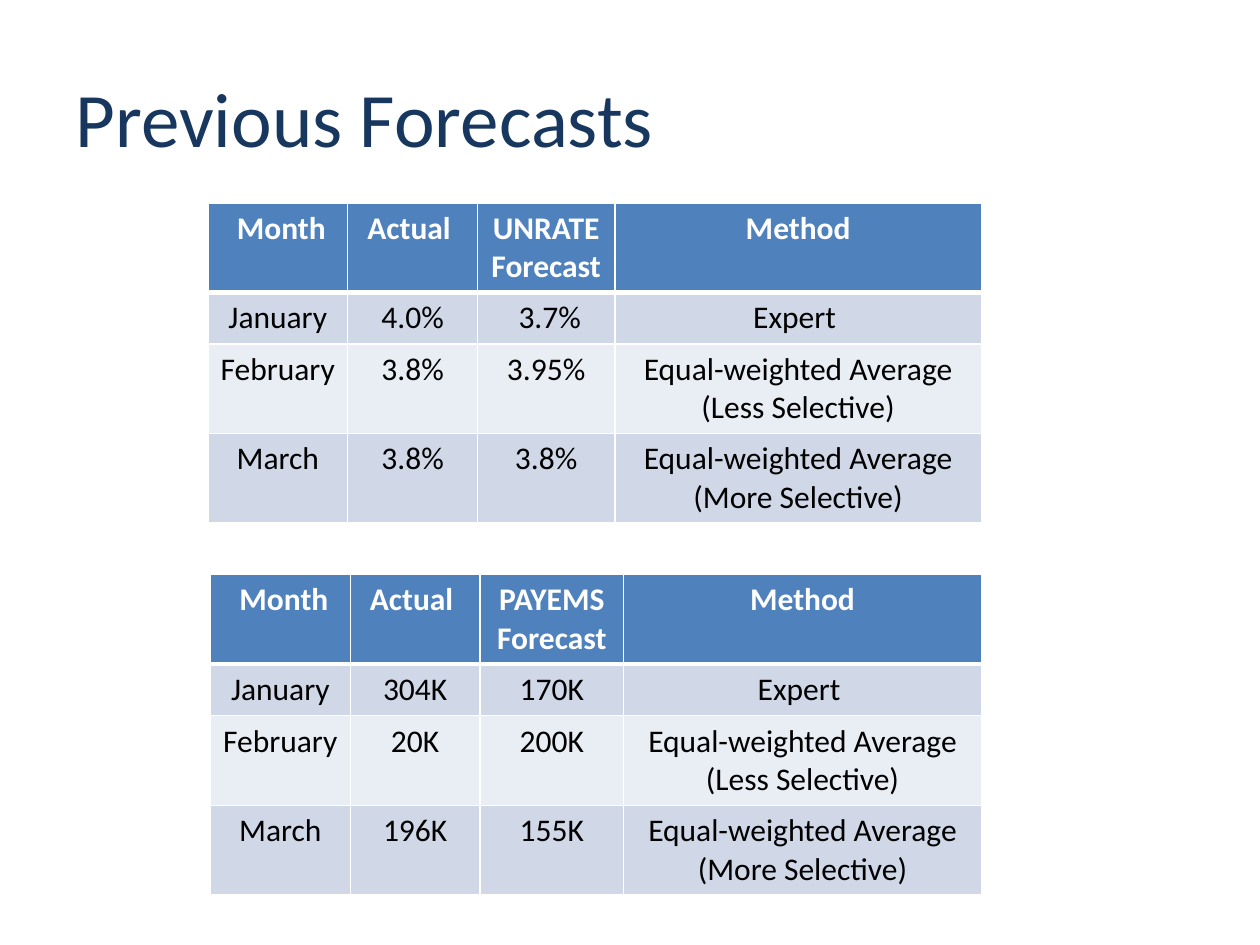
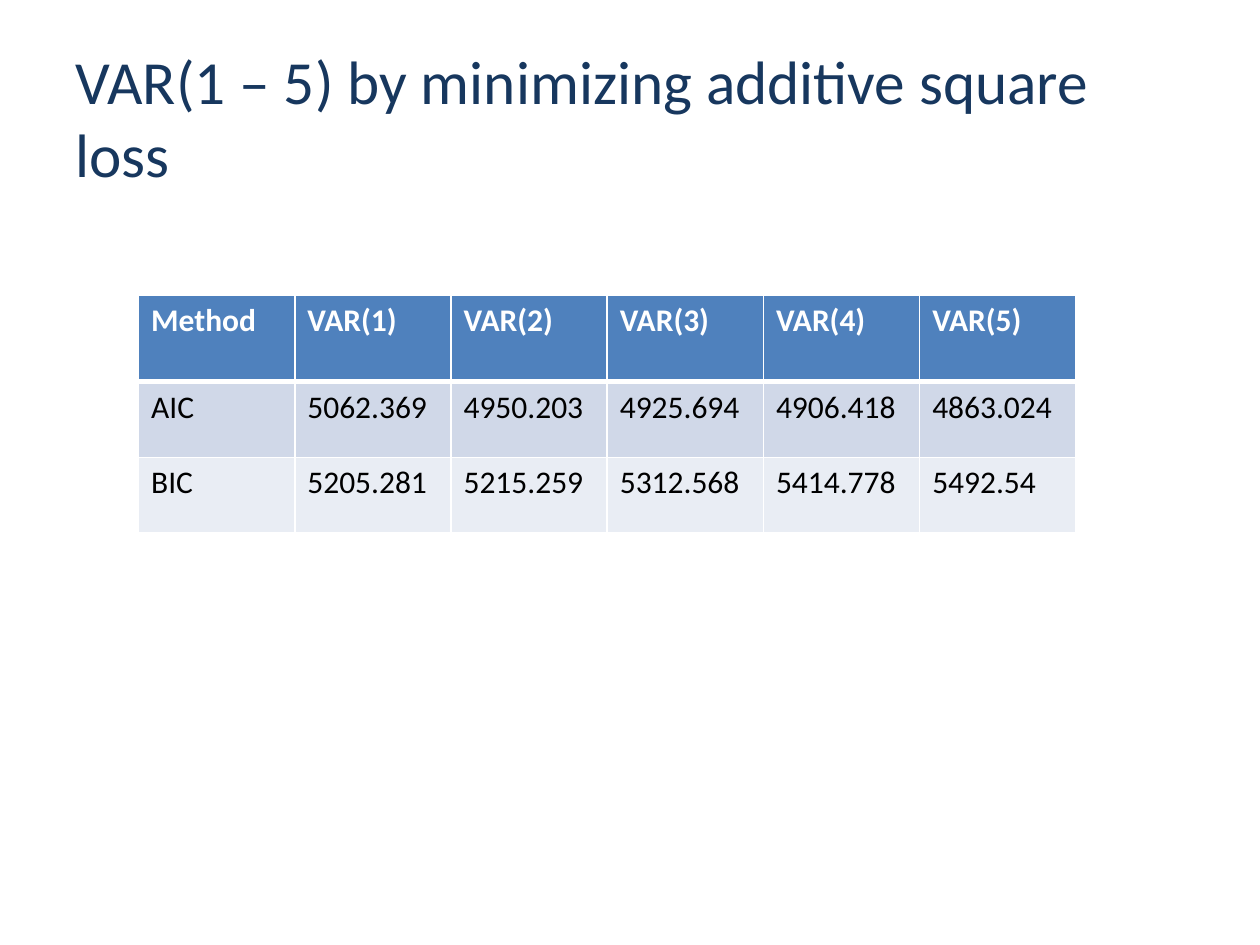
"""Build two slides that compare forecasts and model scores in tables."""
from dataclasses import dataclass

from lxml.etree import SubElement as Sub
from pptx import Presentation
from pptx.dml.color import RGBColor as Rgb
from pptx.enum.text import MSO_ANCHOR as Anchor, PP_ALIGN as Align
from pptx.oxml.ns import qn
from pptx.util import Inches, Pt

FONT = "Calibri"
NAVY, BLUE, WHITE, BLACK = "17375E", "4F81BD", "FFFFFF", "000000"
BANDS = ("D0D8E8", "E9EDF4")
LESS = "Equal-weighted Average (Less Selective)"
MORE = "Equal-weighted Average (More Selective)"
SPLIT = "Equal-weighted Average\n(More Selective)"


@dataclass
class Grid:
    left: float
    top: float
    cols: list[float]
    rows: list[float]
    cells: list[list[str]]
    align: Align


@dataclass
class Page:
    title: str
    size: int
    grids: list[Grid]


def color(code: str) -> Rgb:
    return Rgb.from_string(code)


def write(para, text: str, size: int, tint: str, align: Align,
          bold: bool = False) -> None:
    para.alignment = align
    run = para.add_run()
    run.text = text
    font = run.font
    font.name, font.size, font.bold = FONT, Pt(size), bold
    font.color.rgb = color(tint)


def edge(cell, side: str, width: int) -> None:
    line = Sub(cell._tc.get_or_add_tcPr(), qn(f"a:ln{side}"), w=str(Pt(width)))
    Sub(Sub(line, qn("a:solidFill")), qn("a:srgbClr"), val=WHITE)


def fill_cell(cell, text: str, row: int, align: Align) -> None:
    head = row == 0
    for side in "LRTB":
        thick = (side, row) in (("B", 0), ("T", 1))
        edge(cell, side, 3 if thick else 1)
    cell.fill.solid()
    cell.fill.fore_color.rgb = color(BLUE if head else BANDS[(row - 1) % 2])
    frame = cell.text_frame
    for num, line in enumerate(text.split("\n")):
        para = frame.add_paragraph() if num else frame.paragraphs[0]
        write(para, line, 18, WHITE if head else BLACK, align, head)


def add_grid(slide, grid: Grid) -> None:
    table = slide.shapes.add_table(
        len(grid.rows), len(grid.cols), Inches(grid.left), Inches(grid.top),
        Inches(sum(grid.cols)), Inches(sum(grid.rows))).table
    for col, width in zip(table.columns, grid.cols):
        col.width = Inches(width)
    for row, height in zip(table.rows, grid.rows):
        row.height = Inches(height)
    for row, texts in enumerate(grid.cells):
        for col, text in enumerate(texts):
            fill_cell(table.cell(row, col), text, row, grid.align)


def add_page(deck, page: Page) -> None:
    slide = deck.slides.add_slide(deck.slide_layouts[5])
    title = slide.shapes.title
    title.left, title.top = Inches(0.5), Inches(0.3)
    title.width, title.height = Inches(9), Inches(1.25)
    frame = title.text_frame
    frame.word_wrap = True
    frame.vertical_anchor = Anchor.MIDDLE
    write(frame.paragraphs[0], page.title, page.size, NAVY, Align.LEFT)
    for grid in page.grids:
        add_grid(slide, grid)


def past(left: float, top: float, wide: list[float], name: str,
         pairs: list[tuple[str, str]], last: str) -> Grid:
    months = ("January", "February ", "March")
    ways = ("Expert ", LESS, last)
    cells = [[" Month", "Actual ", f"{name} Forecast", "Method"]]
    cells += [[month, *pair, way]
              for month, pair, way in zip(months, pairs, ways)]
    return Grid(left, top, [1.11, 1.03, *wide], [0.7, 0.41, 0.7, 0.7],
                cells, Align.CENTER)


PAGES = [
    Page("Previous Forecasts", 44, [
        past(1.65, 1.61, [1.09, 2.91], "UNRATE",
             [("4.0%", " 3.7%"), ("3.8%", "3.95%"), ("3.8%", "3.8%")], SPLIT),
        past(1.67, 4.56, [1.14, 2.84], "PAYEMS",
             [("304K", "170K"), ("20K", "200K"), ("196K", "155K")], MORE),
    ]),
    Page("VAR(1 – 5) by minimizing additive square loss", 35, [
        Grid(1.1, 2.34, [1.24] * 6, [0.69, 0.6, 0.6], [
            ["Method", *(f"VAR({lag})" for lag in range(1, 6))],
            ["AIC", "5062.369", "4950.203", "4925.694", "4906.418", "4863.024"],
            ["BIC", "5205.281", "5215.259", "5312.568", "5414.778", "5492.54"],
        ], Align.LEFT),
    ]),
]


def main() -> None:
    deck = Presentation()
    deck.slide_width, deck.slide_height = Inches(10), Inches(7.5)
    for page in PAGES:
        add_page(deck, page)
    deck.save("out.pptx")


if __name__ == "__main__":
    main()
